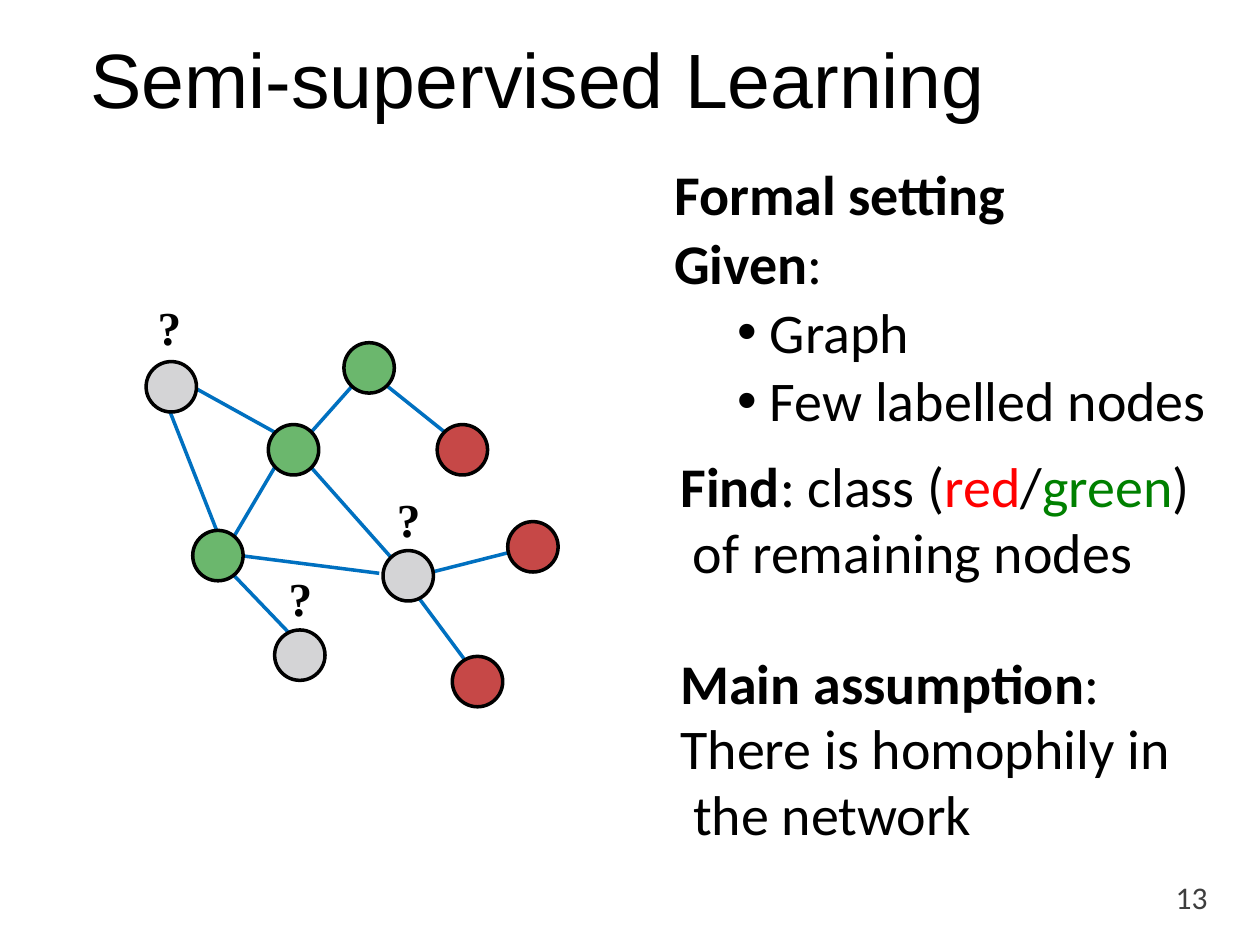
from lxml import etree
from pptx import Presentation
from pptx.dml.color import RGBColor
from pptx.enum.shapes import MSO_CONNECTOR, MSO_SHAPE
from pptx.enum.text import MSO_ANCHOR
from pptx.oxml.ns import qn
from pptx.util import Inches, Pt

OVAL = MSO_SHAPE.OVAL
STRAIGHT = MSO_CONNECTOR.STRAIGHT
TOP, MIDDLE = MSO_ANCHOR.TOP, MSO_ANCHOR.MIDDLE

COLORS = {
    "text": "000000",
    "number": "3E3E3E",
    "red": "FF0000",
    "green": "008000",
    "edge": "0070C0",
    "green node": "6BB76D",
    "red node": "C64847",
    "unlabelled node": "D4D4D6",
}
NODE_SIZE = 0.4
LINE_WIDTH = 2

# Node centres by class
NODES = {
    "green node": [(2.93, 2.92), (2.33, 3.57), (1.73, 4.41)],
    "unlabelled node": [(2.38, 5.2), (1.36, 3.07), (3.24, 4.57)],
    "red node": [(3.67, 3.57), (3.79, 5.41), (4.23, 4.34)],
}
# Edges run from rim to rim: x1, y1, x2, y2
EDGES = [
    (3.32, 4.74, 3.78, 5.36),
    (1.53, 3.07, 2.18, 3.43),
    (1.35, 3.27, 1.72, 4.21),
    (2.18, 3.71, 1.85, 4.27),
    (1.91, 4.41, 3.01, 4.55),
    (1.85, 4.56, 2.31, 5.04),
    (3.10, 4.42, 2.47, 3.71),
    (2.79, 3.07, 2.47, 3.43),
    (3.08, 3.07, 3.53, 3.43),
    (3.39, 4.55, 4.14, 4.36),
]
QUESTION_MARKS = [(1.24, 2.36), (2.28, 4.51), (3.14, 3.88)]


def color(name):
    return RGBColor.from_string(COLORS[name])


def add_box(page, left, top, width, height, inset=(0, 0.01), anchor=TOP):
    box = page.shapes.add_textbox(
        Inches(left), Inches(top), Inches(width), Inches(height))
    frame = box.text_frame
    frame.word_wrap = True
    frame.vertical_anchor = anchor
    side, upper = inset
    frame.margin_left = frame.margin_right = Inches(side)
    frame.margin_top, frame.margin_bottom = Inches(upper), 0
    return frame


def add_para(frame, spans, size=32, font="Calibri", before=0, spacing=None,
             margin=0.01, indent=0, bullet=False):
    """Add a paragraph of spans, each (text, bold, colour name)."""
    first = frame.paragraphs[0]
    para = frame.add_paragraph() if first.runs else first
    para.space_before = Pt(before)
    if spacing:
        para.line_spacing = spacing
    properties = para._p.get_or_add_pPr()
    properties.set("marL", str(Inches(margin)))
    properties.set("indent", str(Inches(indent)))
    if bullet:
        para.level = 1
        bullet_font = etree.SubElement(properties, qn("a:buFont"))
        bullet_font.set("typeface", "Arial")
        etree.SubElement(properties, qn("a:buChar")).set("char", "•")
    for text, bold, color_name in spans:
        span = para.add_run()
        span.text = text
        span.font.size = Pt(size)
        span.font.name = font
        span.font.bold = bold
        span.font.color.rgb = color(color_name)


def add_edge(page, *ends):
    edge = page.shapes.add_connector(STRAIGHT, *(Inches(end) for end in ends))
    edge.line.color.rgb = color("edge")
    edge.line.width = Pt(LINE_WIDTH)
    etree.SubElement(edge._element.spPr, qn("a:effectLst"))


def add_node(page, x, y, fill):
    node = page.shapes.add_shape(
        OVAL, Inches(x - NODE_SIZE / 2), Inches(y - NODE_SIZE / 2),
        Inches(NODE_SIZE), Inches(NODE_SIZE))
    node.shadow.inherit = False
    node.fill.solid()
    node.fill.fore_color.rgb = color(fill)
    node.line.color.rgb = color("text")
    node.line.width = Pt(LINE_WIDTH)


def add_graph(page):
    for ends in EDGES:
        add_edge(page, *ends)
    for fill, centres in NODES.items():
        for x, y in centres:
            add_node(page, x, y, fill)
    for left, top in QUESTION_MARKS:
        frame = add_box(page, left, top, 0.22, 0.48)
        add_para(frame, [("?", True, "text")], 27, "Times New Roman", before=1)


def add_setting(page):
    # Given
    given = add_box(page, 5.34, 1.26, 4.39, 2.2)
    add_para(given, [("Formal setting", True, "text")], before=1)
    add_para(given, [("Given", True, "text"), (":", False, "text")], before=1)
    for item, before in (("Graph", 1), ("Few labelled nodes", 0.5)):
        add_para(given, [(item, False, "text")], before=before,
                 margin=0.77, indent=-0.26, bullet=True)

    # Find
    find = add_box(page, 5.39, 3.56, 4.06, 1.1, inset=(0, 0.03))
    add_para(find, [
        ("Find", True, "text"),
        (": class (", False, "text"),
        ("red", False, "red"),
        ("/", False, "text"),
        ("green", False, "green"),
        (") of remaining nodes", False, "text"),
    ], before=2.5, spacing=Pt(37.9), margin=0.11, indent=-0.1)

    # Assumption
    assumption = add_box(page, 5.39, 5.16, 3.92, 1.63)
    add_para(assumption,
             [("Main assumption", True, "text"), (":", False, "text")],
             before=0.8, spacing=0.98)
    add_para(assumption,
             [("There is homophily in the network", False, "text")],
             spacing=0.98, margin=0.11, indent=-0.1)


def main():
    deck = Presentation()
    deck.slide_width, deck.slide_height = Inches(10), Inches(7.5)
    page = deck.slides.add_slide(deck.slide_layouts[6])

    # Title
    title = add_box(page, 0.62, 0.28, 8.62, 0.77, inset=(0.1, 0), anchor=MIDDLE)
    add_para(title, [("Semi-supervised Learning", False, "text")],
             44, "Arial", spacing=0.9, margin=0)

    add_setting(page)
    add_graph(page)

    # Page number
    number = add_box(page, 9.23, 6.97, 0.51, 0.3, inset=(0, 0))
    add_para(number, [("13", False, "number")], 18, before=0.6, margin=0.1)

    deck.save("out.pptx")


if __name__ == "__main__":
    main()
